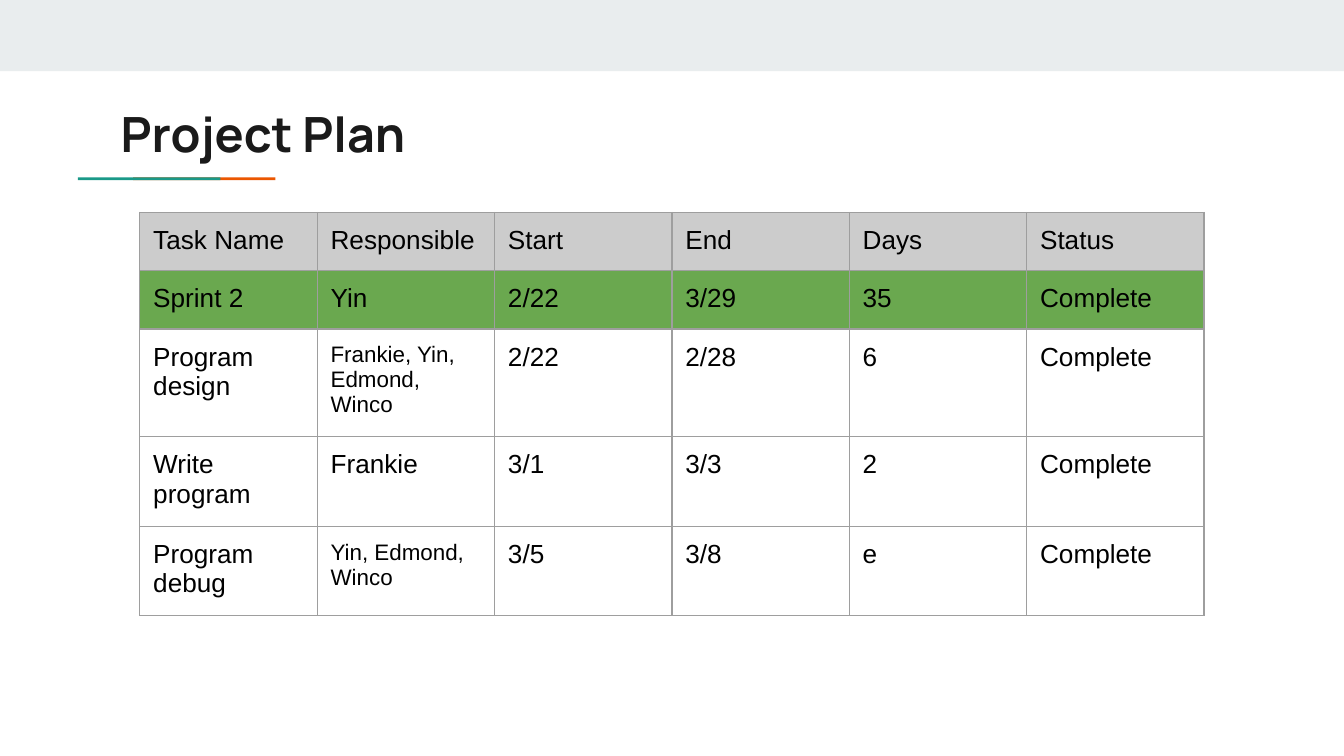
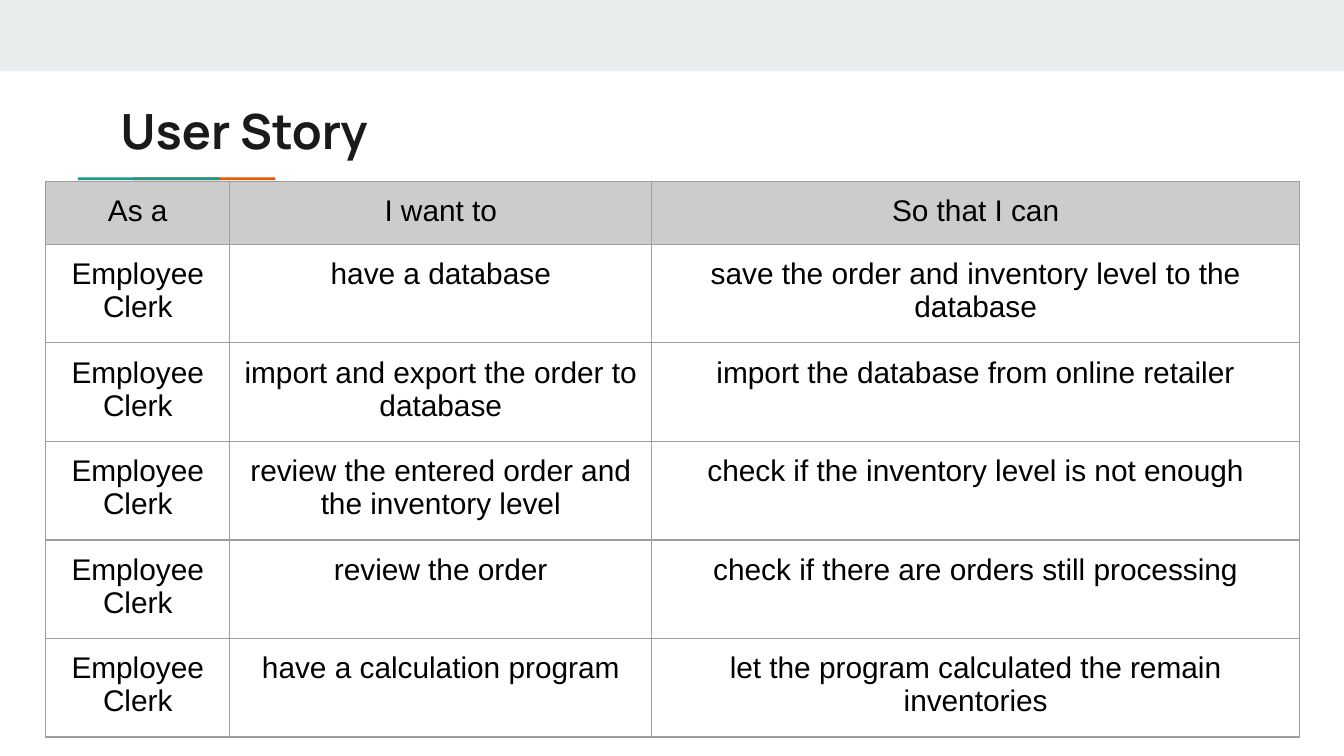
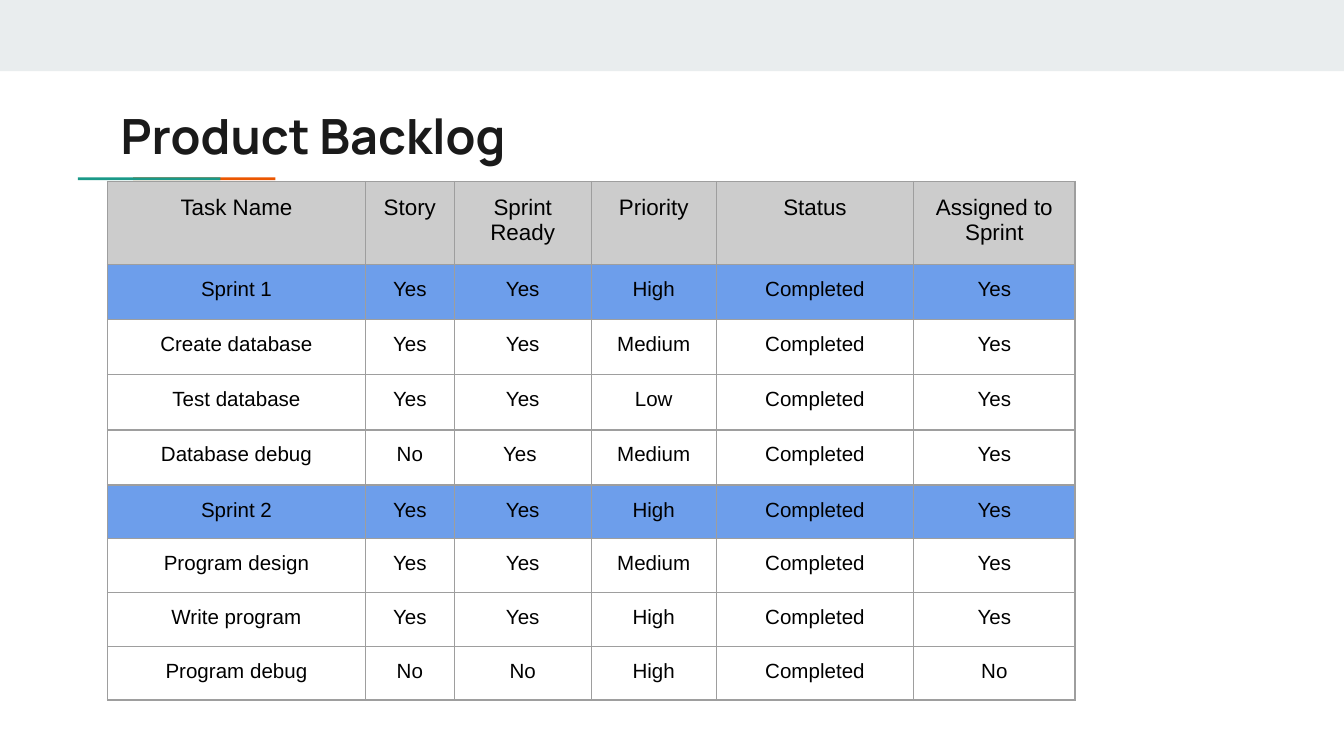
from lxml.etree import SubElement
from pptx import Presentation
from pptx.dml.color import RGBColor
from pptx.enum.shapes import MSO_SHAPE
from pptx.enum.text import MSO_ANCHOR, PP_ALIGN
from pptx.oxml.ns import qn
from pptx.util import Inches, Pt

COLORS = {
    "band": "E9EDEE", "teal": "1A9988", "orange": "EB5600",
    "title": "1A1A1A", "text": "000000", "border": "9E9E9E",
    "header": "CCCCCC", "green": "6AA84F", "blue": "6D9EEB",
}


class Deck:
    """Shared style and the slide being built."""

    title_font, body_font = "Manrope", "Arial"

    def __init__(self):
        self.prs = Presentation()
        # Widescreen, 16:9
        self.prs.slide_width = Inches(10)
        self.prs.slide_height = Inches(10) * 9 // 16
        self.s = None

    def rect(self, x, y, w, h, color):
        sp = self.s.shapes.add_shape(
            MSO_SHAPE.RECTANGLE, Inches(x), Inches(y), Inches(w), Inches(h))
        sp.shadow.inherit = False
        sp.fill.solid()
        sp.fill.fore_color.rgb = RGBColor.from_string(COLORS[color])
        sp.line.fill.background()

    def style_text(self, p, font, size, color, bold=False):
        for r in p.runs:
            r.font.name, r.font.size, r.font.bold = font, Pt(size), bold
            r.font.color.rgb = RGBColor.from_string(COLORS[color])

    def slide(self, title, title_top):
        self.s = self.prs.slides.add_slide(self.prs.slide_layouts[6])
        # Top band and two-colour rule
        self.rect(0, 0, 10, 0.53, "band")
        self.rect(0.99, 1.32, 1.06, 0.02, "orange")
        self.rect(0.58, 1.32, 1.06, 0.02, "teal")
        # Title
        sp = self.s.shapes.add_textbox(
            Inches(0.8), Inches(title_top), Inches(8.41), Inches(0.59))
        tf = sp.text_frame
        tf.word_wrap = True
        tf.vertical_anchor = MSO_ANCHOR.TOP
        tf.margin_left = tf.margin_right = Inches(0.1)
        tf.margin_top = tf.margin_bottom = Inches(0.1)
        tf.text = title
        self.style_text(tf.paragraphs[0], self.title_font, 26, "title", True)

    def borders(self, cell):
        tc_pr = cell._tc.get_or_add_tcPr()
        for side in ("a:lnL", "a:lnR", "a:lnT", "a:lnB"):
            ln = SubElement(tc_pr, qn(side), w=str(Pt(0.75)))
            fill = SubElement(ln, qn("a:solidFill"))
            SubElement(fill, qn("a:srgbClr"), val=COLORS["border"])

    def table(self, x, y, widths, heights, rows, size_of, fills=None,
              align=PP_ALIGN.CENTER):
        """size_of(row, text) gives points; fills maps a row to a colour."""
        fills = {0: "header", **(fills or {})}
        frame = self.s.shapes.add_table(
            len(rows), len(widths), Inches(x), Inches(y),
            Inches(sum(widths)), Inches(sum(heights)))
        table = frame.table
        table.first_row = table.horz_banding = False
        for column, width in zip(table.columns, widths):
            column.width = Inches(width)
        for i, (row, height) in enumerate(zip(rows, heights)):
            table.rows[i].height = Inches(height)
            for j, text in enumerate(row):
                cell = table.cell(i, j)
                cell.margin_left = cell.margin_right = Inches(0.1)
                cell.margin_top = cell.margin_bottom = Inches(0.1)
                self.borders(cell)
                if i in fills:
                    cell.fill.solid()
                    cell.fill.fore_color.rgb = RGBColor.from_string(COLORS[fills[i]])
                else:
                    cell.fill.background()
                cell.text_frame.text = text
                p = cell.text_frame.paragraphs[0]
                p.alignment = align
                self.style_text(p, self.body_font, size_of(i, text), "text")
        # Rows and columns set the drawn size; the frame keeps a nominal one
        frame.width = frame.height = Inches(3.28)


def main():
    deck = Deck()

    # Project plan: lists of several people are set smaller
    deck.slide("Project Plan", 0.67)
    deck.table(1.04, 1.58, [1.32] * 6, [0.42] * 5, [
        ("Task Name", "Responsible", "Start", "End", "Days", "Status"),
        ("Sprint 2", "Yin", "2/22", "3/29", "35", "Complete"),
        ("Program design", "Frankie, Yin, Edmond, Winco", "2/22", "2/28", "6", "Complete"),
        ("Write program", "Frankie", "3/1", "3/3", "2", "Complete"),
        ("Program debug", "Yin, Edmond, Winco", "3/5", "3/8", "e", "Complete"),
    ], lambda row, text: 12 if "," in text else 14, {1: "green"}, PP_ALIGN.LEFT)

    # User stories: every one is told by the same role
    stories = [
        ("have a database", "save the order and inventory level to the database"),
        ("import and export the order to database",
         "import the database from online retailer"),
        ("review the entered order and the inventory level",
         "check if the inventory level is not enough"),
        ("review the order", "check if there are orders still processing"),
        ("have a calculation program",
         "let the program calculated the remain inventories"),
    ]
    deck.slide("User Story", 0.65)
    deck.table(0.34, 1.35, [1.37, 3.14, 4.82], [0.42] + [0.43] * 5,
               [("As a", "I want to", "So that I can")]
               + [("Employee Clerk", *story) for story in stories],
               lambda row, text: 16)

    # Product backlog: sprint rows are highlighted
    deck.slide("Product Backlog", 0.69)
    deck.table(0.8, 1.35, [1.92, 0.66, 1.02, 0.93, 1.47, 1.2],
               [0.62] + [0.41] * 4 + [0.4] * 4, [
        ("Task Name", "Story", "Sprint Ready", "Priority", "Status", "Assigned to Sprint"),
        ("Sprint 1", "Yes", "Yes", "High", "Completed", "Yes"),
        ("Create database", "Yes", "Yes", "Medium", "Completed", "Yes"),
        ("Test database", "Yes", "Yes", "Low", "Completed", "Yes"),
        ("Database debug", "No", "Yes ", "Medium", "Completed", "Yes"),
        ("Sprint 2", "Yes", "Yes", "High", "Completed", "Yes"),
        ("Program design", "Yes", "Yes", "Medium", "Completed", "Yes"),
        ("Write program", "Yes", "Yes", "High", "Completed", "Yes"),
        ("Program debug", "No", "No", "High", "Completed", "No"),
    ], lambda row, text: 11 if row else 12, {1: "blue", 5: "blue"})

    deck.prs.save("out.pptx")


if __name__ == "__main__":
    main()
